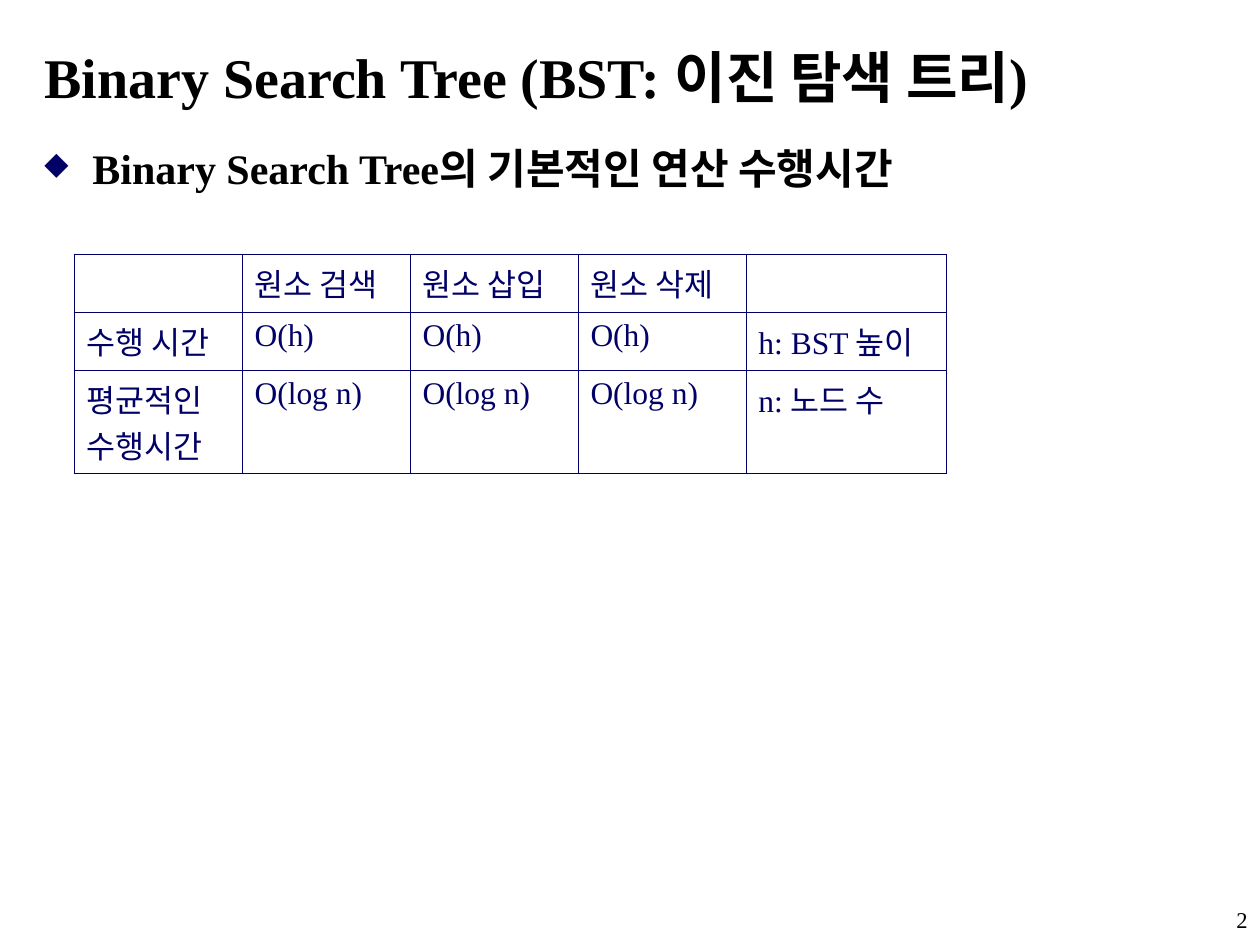
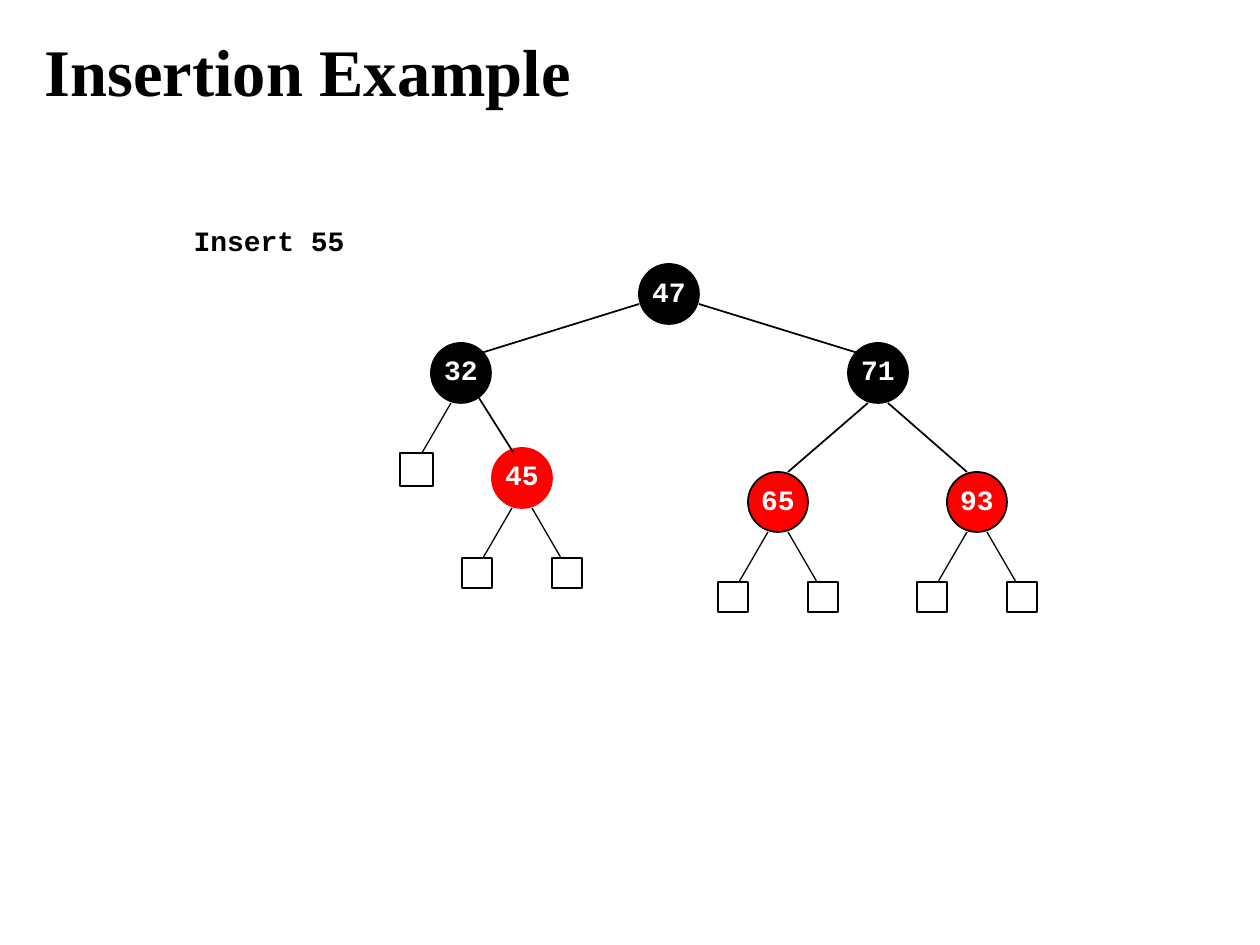
from lxml.etree import SubElement
from pptx import Presentation
from pptx.dml.color import RGBColor
from pptx.enum.shapes import MSO_CONNECTOR, MSO_SHAPE
from pptx.enum.text import MSO_ANCHOR, PP_ALIGN
from pptx.oxml.ns import qn
from pptx.util import Emu, Pt

EMU_PER_PX = 914400 / 126
COLORS = {"black": "000000", "white": "FFFFFF", "red": "FF0000", "navy": "000066"}
SERIF = "Times New Roman"
MONO = "Courier New"
LABEL = {"size": Pt(16), "name": MONO, "bold": True}
LABEL_PARAGRAPH = {"alignment": PP_ALIGN.CENTER, "line_spacing": 0.8}
TITLE_BOX = (32, 32, 1186, 84)
BULLET_INDENT = 48

RADIUS = 30
NODES = {
    "47": (669, 294, "black", "black"),
    "71": (878, 373, "black", "black"),
    "32": (461, 373, "black", "black"),
    "65": (778, 502, "red", "black"),
    "93": (977, 502, "red", "black"),
    "45": (522, 478, "red", "red"),
}
EDGES = [
    ("47", "32", (30, 10), (20, 20)),
    ("47", "71", (30, 10), (20, 20)),
    ("71", "65", (10, 30), (10, 30)),
    ("71", "93", (10, 30), (10, 30)),
    ("32", "45", (18, 25), (9, 26)),
]
LEAVES = [("32", (-1,), 33), ("65", (-1, 1), 30), ("93", (-1, 1), 30), ("45", (-1, 1), 30)]

COLUMN_WIDTHS = [168, 168, 168, 168, 201]
ROW_HEIGHTS = [58, 58, 103]
RUNNING_TIMES = [
    ["", "원소 검색", "원소 삽입", "원소 삭제", ""],
    ["수행 시간", "O(h)", "O(h)", "O(h)", "h: BST 높이"],
    ["평균적인 수행시간", "O(log n)", "O(log n)", "O(log n)", "n: 노드 수"],
]


def px(length):
    return Emu(round(length * EMU_PER_PX))


def color(name):
    return RGBColor.from_string(COLORS[name])


def apply(target, values):
    for name, value in values.items():
        setattr(target, name, value)


class Deck:
    def __init__(self):
        self.presentation = Presentation()
        apply(self.presentation, {"slide_width": px(1260), "slide_height": px(945)})
        self.slide = None

    def add_slide(self, title, size):
        self.slide = self.presentation.slides.add_slide(self.presentation.slide_layouts[6])
        font = {"size": Pt(size), "name": SERIF, "bold": True}
        self.text(TITLE_BOX, title, font, frame_format={"vertical_anchor": MSO_ANCHOR.BOTTOM})

    def fill_text(self, frame, text, font, font_color="black", paragraph_format=None):
        paragraph = frame.paragraphs[0]
        paragraph.text = text
        apply(paragraph, paragraph_format or {})
        for run in paragraph.runs:
            apply(run.font, font)
            run.font.color.rgb = color(font_color)
        return paragraph

    def text(self, box, text, font, paragraph_format=None, frame_format=None):
        frame = self.slide.shapes.add_textbox(*map(px, box)).text_frame
        apply(frame, {"word_wrap": True, **(frame_format or {})})
        return self.fill_text(frame, text, font, paragraph_format=paragraph_format)

    def bullet(self, box, text, font):
        properties = self.text(box, text, font)._p.get_or_add_pPr()
        properties.set("marL", str(px(BULLET_INDENT)))
        properties.set("indent", str(px(-BULLET_INDENT)))
        bullet_color = SubElement(properties, qn("a:buClr"))
        SubElement(bullet_color, qn("a:srgbClr"), val=COLORS["navy"])
        SubElement(properties, qn("a:buSzPct"), val="75000")
        SubElement(properties, qn("a:buChar"), char="◆")

    def shape(self, kind, box, line_color="black", fill=None, width=1):
        shape = self.slide.shapes.add_shape(kind, *map(px, box))
        shape.shadow.inherit = False
        if fill:
            shape.fill.solid()
            shape.fill.fore_color.rgb = color(fill)
        else:
            shape.fill.background()
        shape.line.color.rgb = color(line_color)
        shape.line.width = Pt(width)
        return shape

    def node(self, key, x, y, fill, line_color):
        box = (x - RADIUS, y - RADIUS, 2 * RADIUS, 2 * RADIUS)
        frame = self.shape(MSO_SHAPE.OVAL, box, line_color, fill).text_frame
        margins = dict.fromkeys(("margin_left", "margin_top", "margin_right", "margin_bottom"), 0)
        apply(frame, {"word_wrap": False, "vertical_anchor": MSO_ANCHOR.MIDDLE, **margins})
        self.fill_text(frame, key, LABEL, "white", LABEL_PARAGRAPH)

    def line(self, start, end, width=1):
        ends = map(px, (*start, *end))
        connector = self.slide.shapes.add_connector(MSO_CONNECTOR.STRAIGHT, *ends)
        connector.line.color.rgb = color("black")
        connector.line.width = Pt(width)
        SubElement(connector._element.spPr, qn("a:effectLst"))

    def leaf(self, parent, side, size):
        x, y = NODES[parent][:2]
        top = y + 80
        self.line((x + side * 10, y + RADIUS), (x + side * 39, top), 0.75)
        self.shape(MSO_SHAPE.RECTANGLE, (x + side * 45 - size // 2, top, size, size), width=0.75)

    def table(self, left, top, widths, heights, rows, font):
        box = map(px, (left, top, sum(widths), sum(heights)))
        table = self.slide.shapes.add_table(len(rows), len(widths), *box).table
        apply(table, {"first_row": False, "horz_banding": False})
        for column, width in zip(table.columns, widths):
            column.width = px(width)
        for row, height, texts in zip(table.rows, heights, rows):
            row.height = px(height)
            for cell, text in zip(row.cells, texts):
                self.border(cell)
                cell.fill.background()
                if text:
                    self.fill_text(cell.text_frame, text, font, "navy")

    def border(self, cell):
        properties = cell._tc.get_or_add_tcPr()
        for side in ("lnL", "lnR", "lnT", "lnB"):
            line = SubElement(properties, qn(f"a:{side}"), w=str(Pt(0.45)))
            fill = SubElement(line, qn("a:solidFill"))
            SubElement(fill, qn("a:srgbClr"), val=COLORS["navy"])


def build_running_times(deck):
    deck.add_slide("Binary Search Tree (BST: 이진 탐색 트리)", 32)
    deck.text((998, 903, 262, 42), "2", {"size": Pt(12.9), "name": SERIF},
              {"alignment": PP_ALIGN.RIGHT, "line_spacing": 0.9})
    deck.bullet((32, 136, 1228, 735), "Binary Search Tree의 기본적인 연산 수행시간",
                {"size": Pt(24), "name": SERIF, "bold": True})
    deck.table(74, 254, COLUMN_WIDTHS, ROW_HEIGHTS, RUNNING_TIMES,
               {"size": Pt(18), "name": SERIF})


def build_insertion(deck):
    deck.add_slide("Insertion Example", 38)
    deck.text((105, 224, 328, 40), "Insert 55", LABEL, LABEL_PARAGRAPH)
    for key, node in NODES.items():
        deck.node(key, *node)
    for parent, child, (out_x, out_y), (in_x, in_y) in EDGES:
        parent_x, parent_y = NODES[parent][:2]
        child_x, child_y = NODES[child][:2]
        side = 1 if child_x > parent_x else -1
        deck.line((parent_x + side * out_x, parent_y + out_y),
                  (child_x - side * in_x, child_y - in_y))
    for parent, sides, size in LEAVES:
        for side in sides:
            deck.leaf(parent, side, size)


def main():
    deck = Deck()
    build_running_times(deck)
    build_insertion(deck)
    deck.presentation.save("out.pptx")


if __name__ == "__main__":
    main()
